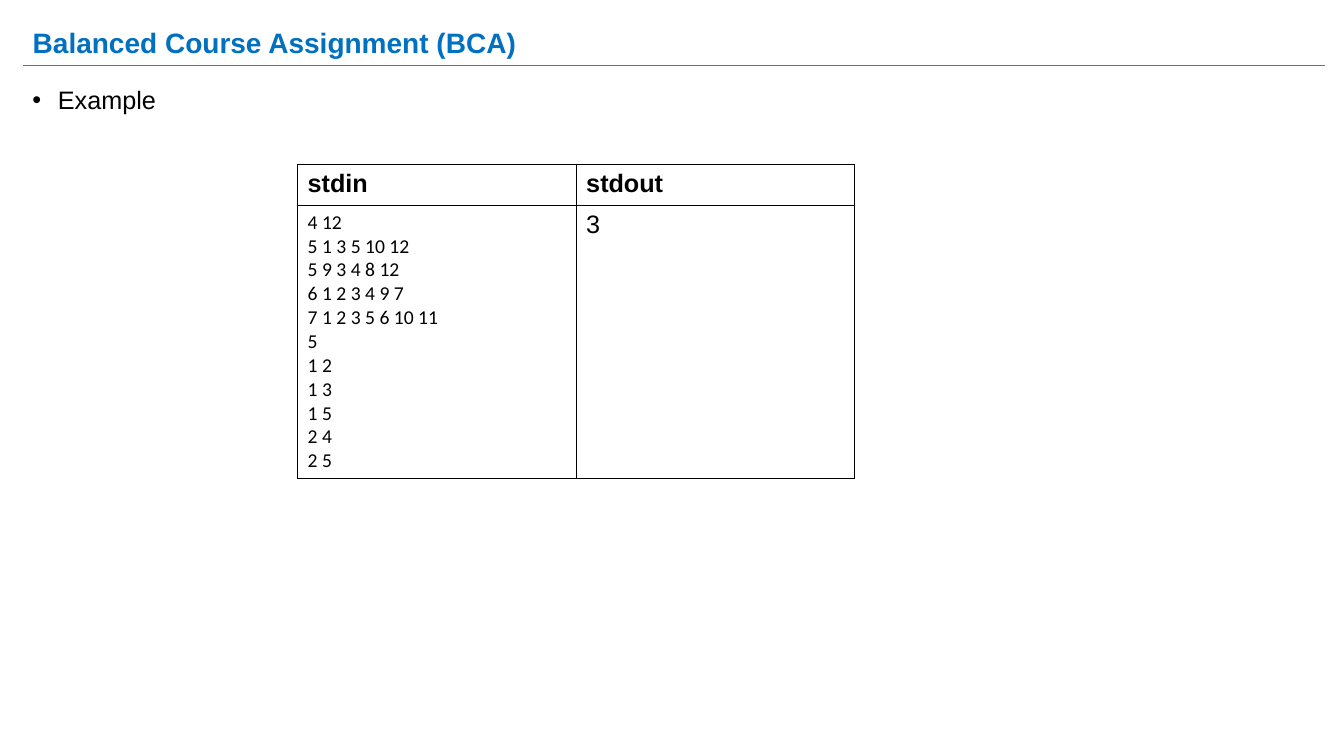
from dataclasses import dataclass

from lxml.etree import SubElement
from pptx import Presentation
from pptx.dml.color import RGBColor
from pptx.enum.shapes import MSO_CONNECTOR
from pptx.enum.text import MSO_ANCHOR, PP_ALIGN
from pptx.oxml.ns import qn
from pptx.util import Cm, Pt


@dataclass(frozen=True)
class Theme:
    title: RGBColor = RGBColor(0x00, 0x70, 0xC0)
    rule: RGBColor = RGBColor(0x44, 0x72, 0xC4)
    text: RGBColor = RGBColor(0x00, 0x00, 0x00)
    paper: RGBColor = RGBColor(0xFF, 0xFF, 0xFF)
    font: str = "Arial"
    data_font: str = "Calibri"
    title_size: Pt = Pt(20)
    body_size: Pt = Pt(18)
    data_size: Pt = Pt(14)


theme = Theme()


def add_run(p, text, size=theme.body_size, font=theme.font, color=theme.text, bold=False):
    p.alignment = PP_ALIGN.LEFT
    r = p.add_run()
    r.text = text
    r.font.size, r.font.name, r.font.bold = size, font, bold
    r.font.color.rgb = color


def add_borders(cell):
    tcPr = cell._tc.get_or_add_tcPr()
    for i, side in enumerate(("lnL", "lnR", "lnT", "lnB")):
        ln = SubElement(tcPr, qn(f"a:{side}"), w=str(Pt(0.96)))
        fill = SubElement(ln, qn("a:solidFill"))
        SubElement(fill, qn("a:srgbClr"), val=str(theme.text))
        tcPr.insert(i, ln)


prs = Presentation()
prs.slide_width, prs.slide_height = Cm(33.87), Cm(19.05)
s = prs.slides.add_slide(prs.slide_layouts[5])
left, width = Cm(0.57), Cm(32.81)

# Title
title = s.shapes.title
title.left, title.top, title.width, title.height = left, Cm(0.38), width, Cm(1.5)
tf = title.text_frame
tf.vertical_anchor = MSO_ANCHOR.MIDDLE
p = tf.paragraphs[0]
p.line_spacing = 0.9
add_run(p, "Balanced Course Assignment (BCA)", theme.title_size, color=theme.title, bold=True)

# Example table
rows = [
    (["stdin"], ["stdout"]),
    (["4 12", "5 1 3 5 10 12", "5 9 3 4 8 12", "6 1 2 3 4 9 7", "7 1 2 3 5 6 10 11",
      "5", "1 2", "1 3", "1 5", "2 4", "2 5"], ["3"]),
]
table = s.shapes.add_table(2, 2, Cm(7.5), Cm(4.14), Cm(14.04), Cm(7.92)).table
table.rows[0].height, table.rows[1].height = Cm(1.04), Cm(6.88)
for i, row in enumerate(rows):
    for j, lines in enumerate(row):
        cell = table.cell(i, j)
        cell.fill.solid()
        cell.fill.fore_color.rgb = theme.paper
        add_borders(cell)
        is_data = (i, j) == (1, 0)
        size = theme.data_size if is_data else theme.body_size
        font = theme.data_font if is_data else theme.font
        tf = cell.text_frame
        for n, line in enumerate(lines):
            p = tf.add_paragraph() if n else tf.paragraphs[0]
            add_run(p, line, size, font, bold=i == 0)

# Rule under the title
rule = s.shapes.add_connector(MSO_CONNECTOR.STRAIGHT, left, Cm(1.66), left + width, Cm(1.66))
rule.line.color.rgb = theme.rule
rule.line.width = Pt(0.75)
SubElement(rule._element.spPr, qn("a:effectLst"))

# Bullet text
sp = s.shapes.add_textbox(left, Cm(2.08), Cm(11.76), Cm(16.3))
tf = sp.text_frame
tf.word_wrap = True
p = tf.paragraphs[0]
p.line_spacing = 0.9
pPr = p._p.get_or_add_pPr()
pPr.set("marL", str(Cm(0.64)))
pPr.set("indent", str(-Cm(0.64)))
SubElement(pPr, qn("a:buFont"), typeface=theme.font)
SubElement(pPr, qn("a:buChar"), char="•")
add_run(p, "Example")

prs.save("out.pptx")
